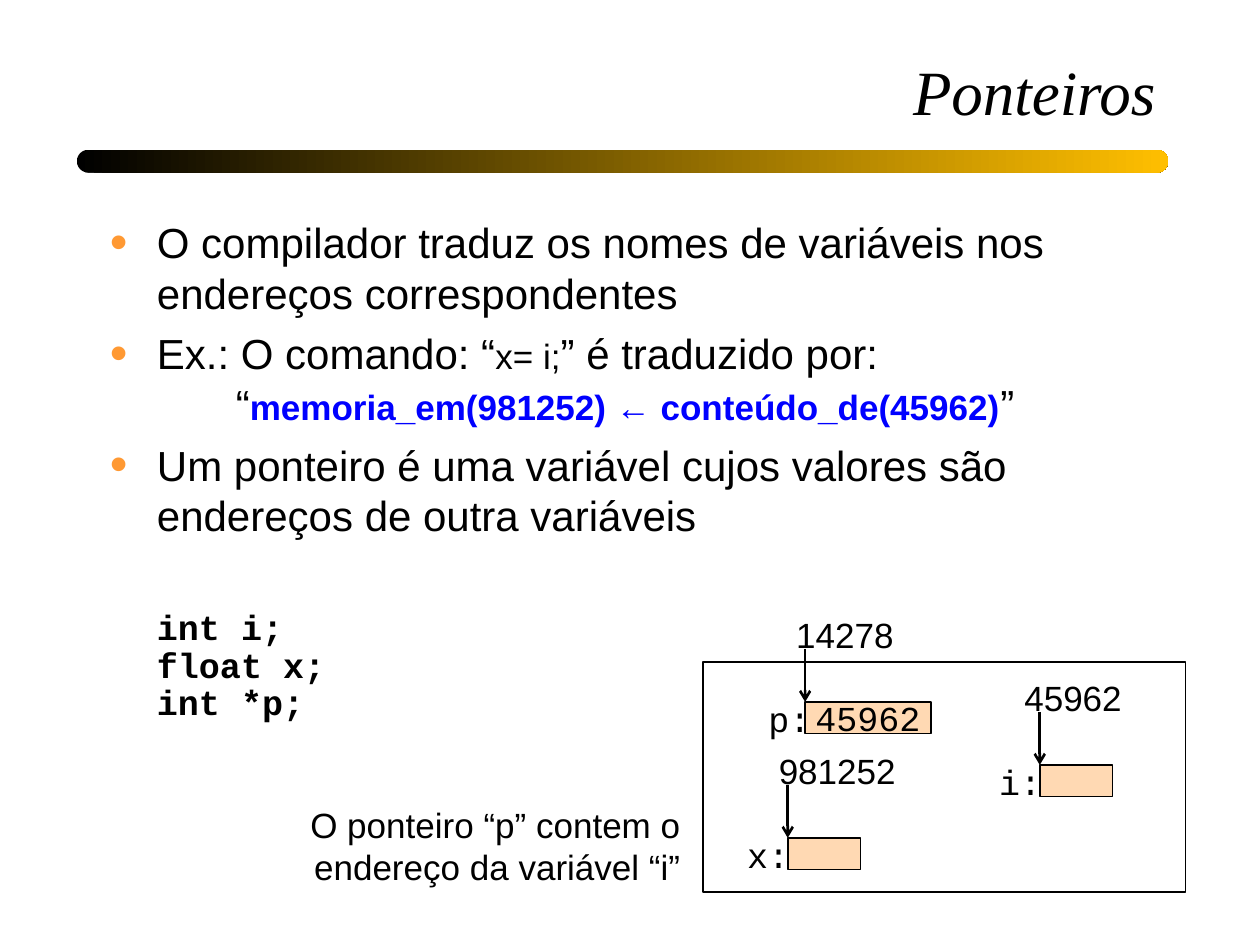
import pptx
import pptx.dml.color
import pptx.enum.shapes
import pptx.enum.text
import pptx.oxml.ns
import pptx.util
from lxml import etree

Cm = pptx.util.Cm
Pt = pptx.util.Pt
SHAPE = pptx.enum.shapes.MSO_SHAPE
ALIGN = pptx.enum.text.PP_ALIGN
ANCHOR = pptx.enum.text.MSO_ANCHOR
AUTO_SIZE = pptx.enum.text.MSO_AUTO_SIZE

SANS, MONO, SERIF = "Arial", "Courier New", "Times New Roman"
BLACK, BLUE, ORANGE, GOLD, PEACH = "000000", "0000FF", "FF9933", "FFBF00", "FFD9B3"


def color(hex_string):
    return pptx.dml.color.RGBColor.from_string(hex_string)


def add_child(parent, tag, **attributes):
    child = etree.SubElement(parent, pptx.oxml.ns.qn(tag))
    for name, value in attributes.items():
        child.set(name, str(value))
    return child


class Slide:
    """Holds the text style and the page being filled."""

    size = 20
    text_color = BLACK

    def __init__(self, page):
        self.page = page

    def place(self, shape, left, top, width, height):
        shape.left, shape.top = Cm(left), Cm(top)
        shape.width, shape.height = Cm(width), Cm(height)

    def span(self, para, text, font=SANS, size=None, bold=False, italic=False, ink=None):
        span = para.add_run()
        span.text = text
        span.font.name = font
        span.font.size = Pt(size or self.size)
        span.font.bold = bold
        span.font.italic = italic
        span.font.color.rgb = color(ink or self.text_color)

    def title(self, text, *area):
        box = self.page.shapes.title
        self.place(box, *area)
        frame = box.text_frame
        frame.auto_size = AUTO_SIZE.NONE
        frame.vertical_anchor = ANCHOR.BOTTOM
        para = frame.paragraphs[0]
        para.alignment = ALIGN.RIGHT
        self.span(para, text, font=SERIF, size=36, italic=True)

    def body(self, *area):
        box = self.page.placeholders[1]
        self.place(box, *area)
        box.text_frame.auto_size = AUTO_SIZE.NONE
        return box.text_frame

    def list_paragraph(self, frame, first=False, bullet=True, space=6):
        para = frame.paragraphs[0] if first else frame.add_paragraph()
        indent = Cm(0.95)
        properties = para._p.get_or_add_pPr()
        properties.set("marL", str(indent))
        properties.set("indent", str(-indent if bullet else 0))
        para.space_before = Pt(0 if first else space)
        if bullet:
            add_child(add_child(properties, "a:buClr"), "a:srgbClr", val=ORANGE)
            add_child(properties, "a:buSzPct", val=120000)
            add_child(properties, "a:buFont", typeface=SANS)
            add_child(properties, "a:buChar", char="•")
            tabs = add_child(properties, "a:tabLst")
            add_child(tabs, "a:tab", pos=Cm(2.54), algn="l")
        else:
            add_child(properties, "a:buNone")
        return para

    def text(self, text, left, top, width, height, font=SANS, align=ALIGN.LEFT, wrap=False):
        box = self.page.shapes.add_textbox(Cm(left), Cm(top), Cm(width), Cm(height))
        box.text_frame.word_wrap = wrap
        box.text_frame.auto_size = AUTO_SIZE.SHAPE_TO_FIT_TEXT
        para = box.text_frame.paragraphs[0]
        para.alignment = align
        self.span(para, text, font=font)

    def rectangle(self, left, top, width, height, fill=None, text=None):
        box = self.page.shapes.add_shape(
            SHAPE.RECTANGLE, Cm(left), Cm(top), Cm(width), Cm(height))
        box.shadow.inherit = False
        if fill:
            box.fill.solid()
            box.fill.fore_color.rgb = color(fill)
        else:
            box.fill.background()
        box.line.color.rgb = color(BLACK)
        box.line.width = Pt(1)
        if text:
            box.text_frame.word_wrap = False
            box.text_frame.vertical_anchor = ANCHOR.MIDDLE
            para = box.text_frame.paragraphs[0]
            para.alignment = ALIGN.CENTER
            self.span(para, text, font=MONO)

    def gradient_bar(self, left, top, width, height):
        bar = self.page.shapes.add_shape(
            SHAPE.ROUNDED_RECTANGLE, Cm(left), Cm(top), Cm(width), Cm(height))
        bar.adjustments[0] = 0.5
        bar.shadow.inherit = False
        bar.line.fill.background()
        bar.fill.gradient()
        bar.fill.gradient_angle = 0
        for stop, position, tone in zip(bar.fill.gradient_stops, (0, 1), (BLACK, GOLD)):
            stop.position = position
            stop.color.rgb = color(tone)

    def down_arrow(self, x, top, bottom):
        arrow = self.page.shapes.add_connector(
            pptx.enum.shapes.MSO_CONNECTOR.STRAIGHT, Cm(x), Cm(top), Cm(x), Cm(bottom))
        arrow.line.color.rgb = color(BLACK)
        arrow.line.width = Pt(1.5)
        add_child(arrow.line._get_or_add_ln(), "a:tailEnd", type="arrow")
        add_child(arrow._element.spPr, "a:effectLst")

    def variable(self, name, address, left, top, width, value=None,
                 name_shift=1.07, address_shift=0.43):
        """Draws a memory cell with its name on the left and its address above."""
        self.rectangle(left, top, width, 0.64, PEACH, value)
        self.text(name, left - name_shift, top - 0.22, 1.35, 1.12, font=MONO)
        self.down_arrow(left, top - 1.07, top)
        address_width = 0.92 + 0.39 * len(address) + 0.01
        self.text(address, left - address_shift, top - 1.9, address_width, 1.12)


def main():
    deck = pptx.Presentation()
    deck.slide_width, deck.slide_height = Cm(25.4), Cm(19.05)
    slide = Slide(deck.slides.add_slide(deck.slide_layouts[1]))

    slide.gradient_bar(1.55, 3.02, 22, 0.46)
    slide.title("Ponteiros", 1.96, 0.38, 21.59, 2.34)

    body = slide.body(1.96, 4.24, 21.59, 10.8)
    para = slide.list_paragraph(body, first=True)
    slide.span(para, "O compilador traduz os nomes de variáveis nos endereços correspondentes",
               size=24)

    para = slide.list_paragraph(body)
    slide.span(para, "Ex.: O comando: “", size=24)
    slide.span(para, "x= i;")
    slide.span(para, "” é traduzido por:", size=24)
    para.add_line_break()
    slide.span(para, "\t“", size=24)
    slide.span(para, "memoria_em(981252) ← conteúdo_de(45962)", bold=True, ink=BLUE)
    slide.span(para, "”", size=24)

    para = slide.list_paragraph(body)
    slide.span(para, "Um ponteiro é uma variável cujos valores são endereços de outra variáveis",
               size=24)

    code = slide.list_paragraph(body, bullet=False, space=40)
    code.line_spacing = 0.9
    for number, line in enumerate(("int i;", "float x;", "int *p;")):
        if number:
            code.add_line_break()
        slide.span(code, line, font=MONO, bold=True)

    slide.rectangle(14.17, 13.34, 9.73, 4.65)
    slide.variable("i:", "45962", 20.96, 15.42, 1.47, address_shift=0.56)
    slide.variable("x:", "981252", 15.88, 16.89, 1.47)
    slide.variable("p:", "14278", 16.23, 14.15, 2.54, value="45962", name_shift=0.99)
    slide.text("O ponteiro “p” contem o endereço da variável “i”",
               5.51, 16.08, 8.46, 1.96, align=ALIGN.RIGHT, wrap=True)

    deck.save("out.pptx")


if __name__ == "__main__":
    main()
